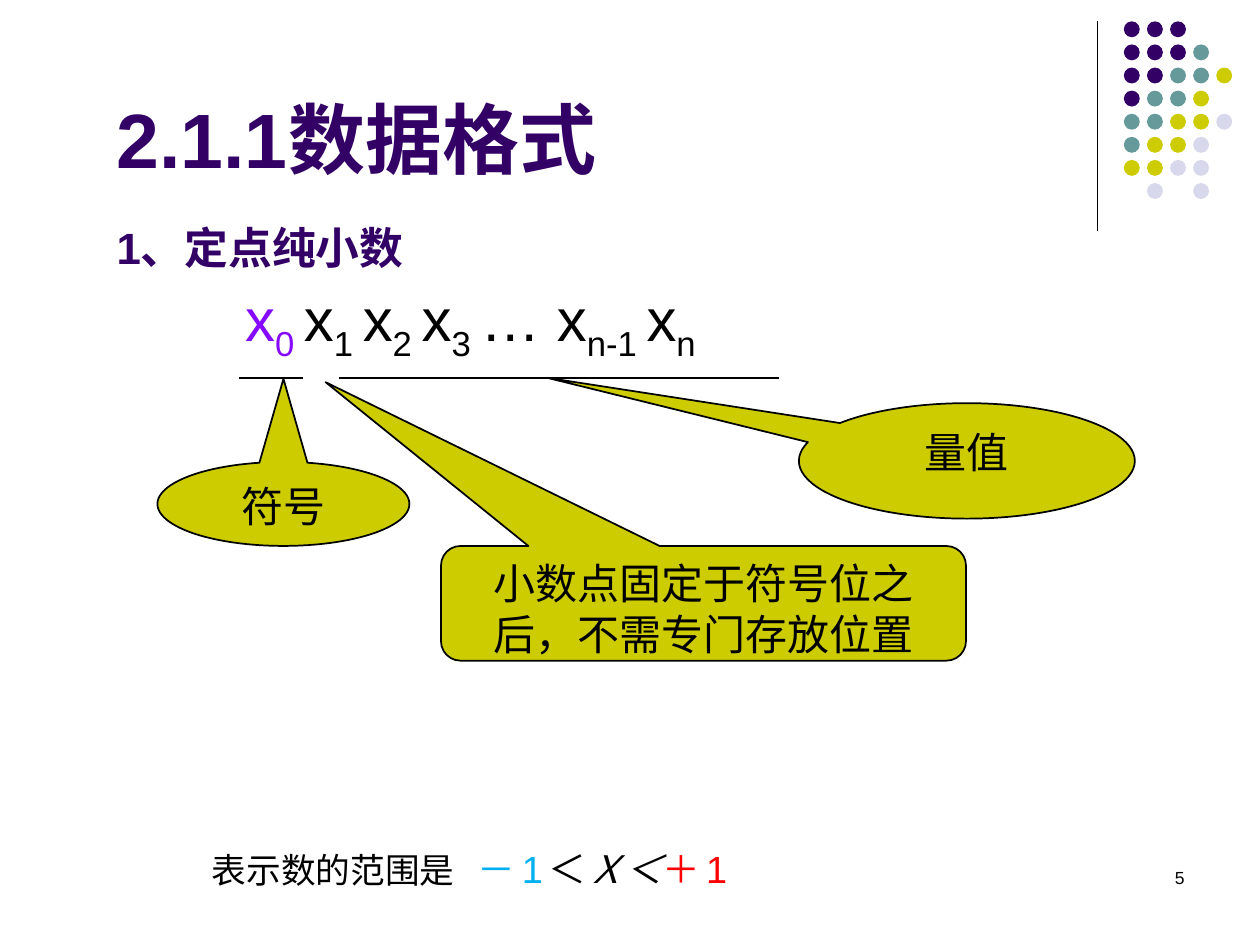
"""Build the slide on the fixed-point fraction data format."""
import pptx
import pptx.dml.color
import pptx.enum.shapes
import pptx.enum.text
import pptx.util
from lxml import etree
from pptx.oxml.ns import qn

Pt = pptx.util.Pt
SHAPE = pptx.enum.shapes.MSO_SHAPE
ALIGN = pptx.enum.text.PP_ALIGN
COLOURS = {
    "black": "000000",
    "purple": "330066",
    "teal": "669999",
    "olive": "CCCC00",
    "lavender": "D8D8EC",
    "violet": "850AFF",
    "blue": "00B0F0",
    "red": "FF0000",
}
DOT_ROWS = ["ppp", "pppt", "pptto", "ptto", "ttool", "tool", "ooll", " l l"]
DOT_COLOURS = {"p": "purple", "t": "teal", "o": "olive", "l": "lavender"}


def rgb(name):
    """Return the named colour."""
    return pptx.dml.color.RGBColor.from_string(COLOURS[name])


def set_font(font, size, colour="black", name="Arial", bold=False):
    """Set the look of a font."""
    font.size = Pt(size)
    font.name = name
    font.bold = bold
    font.color.rgb = rgb(colour)


def add_line(page, x1, y1, x2, y2, width):
    """Add a straight black line."""
    line = page.shapes.add_connector(
        pptx.enum.shapes.MSO_CONNECTOR.STRAIGHT, Pt(x1), Pt(y1), Pt(x2), Pt(y2))
    line.line.color.rgb = rgb("black")
    line.line.width = Pt(width)
    etree.SubElement(line._element.spPr, qn("a:effectLst"))


def add_filled(page, kind, left, top, width, height, colour):
    """Add a filled preset shape without outline or shadow."""
    shape = page.shapes.add_shape(kind, Pt(left), Pt(top), Pt(width), Pt(height))
    shape.shadow.inherit = False
    shape.fill.solid()
    shape.fill.fore_color.rgb = rgb(colour)
    shape.line.fill.background()
    return shape


def add_dots(page):
    """Add the grid of coloured corner dots."""
    for row, codes in enumerate(DOT_ROWS):
        for column, code in enumerate(codes):
            if code in DOT_COLOURS:
                add_filled(page, SHAPE.OVAL, 642.2 + 13.2 * column,
                           12.2 + 13.2 * row, 9.1, 9.1, DOT_COLOURS[code])


def add_callout(page, kind, place, adjustments, text, margin=7.2):
    """Add an olive callout with centred text."""
    callout = add_filled(page, kind, *place, "olive")
    callout.line.color.rgb = rgb("black")
    callout.line.width = Pt(1)
    for index, value in enumerate(adjustments):
        callout.adjustments[index] = value
    frame = callout.text_frame
    frame.vertical_anchor = pptx.enum.text.MSO_ANCHOR.TOP
    frame.margin_left = frame.margin_right = Pt(margin)
    para = frame.paragraphs[0]
    para.text = text
    para.alignment = ALIGN.CENTER
    set_font(para.font, 24, name="Times New Roman")


def add_box(page, left, top, width, height):
    """Add a wrapping text box and return its text frame."""
    box = page.shapes.add_textbox(Pt(left), Pt(top), Pt(width), Pt(height))
    box.text_frame.word_wrap = True
    return box.text_frame


def add_label(page, place, text, size, colour, bold=False, alignment=ALIGN.LEFT):
    """Add a text box holding one line."""
    para = add_box(page, *place).paragraphs[0]
    para.text = text
    para.alignment = alignment
    set_font(para.font, size, colour, bold=bold)


def add_span(para, text, size, colour="black"):
    """Add a run of text to a paragraph."""
    span = para.add_run()
    span.text = text
    set_font(span.font, size, colour)
    return span


def add_indented(frame, indent, before):
    """Add an indented paragraph with space above it."""
    para = frame.add_paragraph()
    para.line_spacing = 0.8
    para.space_before = Pt(before)
    para._p.get_or_add_pPr().set("marL", str(Pt(indent)))
    return para


def add_formula(frame):
    """Add the row of digits with their subscripts."""
    para = add_indented(frame, 73.4, 9.2)
    terms = [("x", "0 "), ("x", "1 "), ("x", "2 "), ("x", "3 "),
             ("… x", "n-1 "), ("x", "n")]
    for index, (base, subscript) in enumerate(terms):
        colour = "black" if index else "violet"
        add_span(para, base, 34.2, colour)
        span = add_span(para, subscript, 34.2, colour)
        span.font._element.set("baseline", "-25000")


def add_limit(para, text, colour):
    """Add a coloured, slightly spaced limit of the range."""
    span = add_span(para, text, 21.6, colour)
    span.font._element.set("spc", "350")


def add_range(frame):
    """Add the range of values that can be represented."""
    para = add_indented(frame, 54.4, 286)
    tabs = etree.SubElement(para._p.get_or_add_pPr(), qn("a:tabLst"))
    etree.SubElement(tabs, qn("a:tab"), pos=str(Pt(152)), algn="l")
    add_span(para, "表示数的范围是\t", 19.8)
    add_limit(para, "－1", "blue")
    add_span(para, "＜", 21.6)
    add_span(para, "Ｘ＜", 21.6).font.italic = True
    add_limit(para, "＋1", "red")


def add_body(page):
    """Add the heading, the formula and the range."""
    frame = add_box(page, 59.6, 128.5, 612, 352)
    heading = frame.paragraphs[0]
    heading.text = "1、定点纯小数"
    heading.line_spacing = 0.8
    set_font(heading.font, 25, "purple", bold=True)
    add_formula(frame)
    add_range(frame)


def main():
    """Build and save the deck."""
    deck = pptx.Presentation()
    deck.slide_width, deck.slide_height = Pt(720), Pt(540)
    page = deck.slides.add_slide(deck.slide_layouts[6])
    add_line(page, 627, 12, 627, 132, 0.75)
    add_dots(page)
    add_label(page, (516, 492, 168, 36), "5", 10, "black", alignment=ALIGN.RIGHT)
    add_body(page)
    add_line(page, 136.5, 216, 173, 216, 1)
    add_line(page, 193.5, 216, 445, 216, 1)
    oval = SHAPE.OVAL_CALLOUT
    add_callout(page, oval, (90, 264, 144, 48), (0, -1.49), "符号")
    add_callout(page, oval, (456.5, 230.4, 192, 66), (-1.25, -0.72), "量值")
    add_callout(page, SHAPE.ROUNDED_RECTANGULAR_CALLOUT, (252, 312, 300, 65.5),
                (-0.72, -1.93, 0.17), "小数点固定于符号位之后，不需专门存放位置", 20)
    add_label(page, (59.6, 49, 410, 60.5), "2.1.1数据格式", 44, "purple", bold=True)
    deck.save("out.pptx")


if __name__ == "__main__":
    main()
